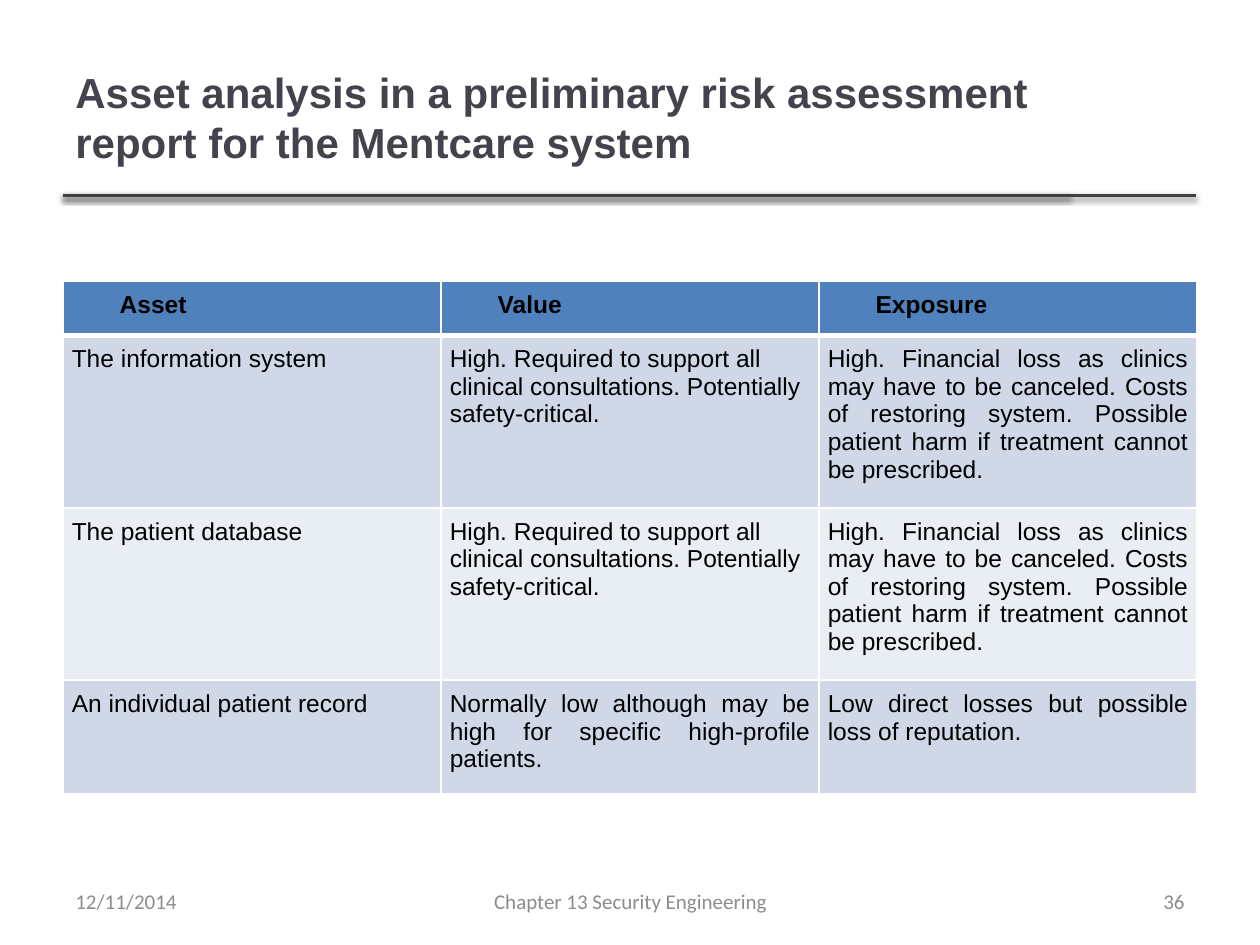
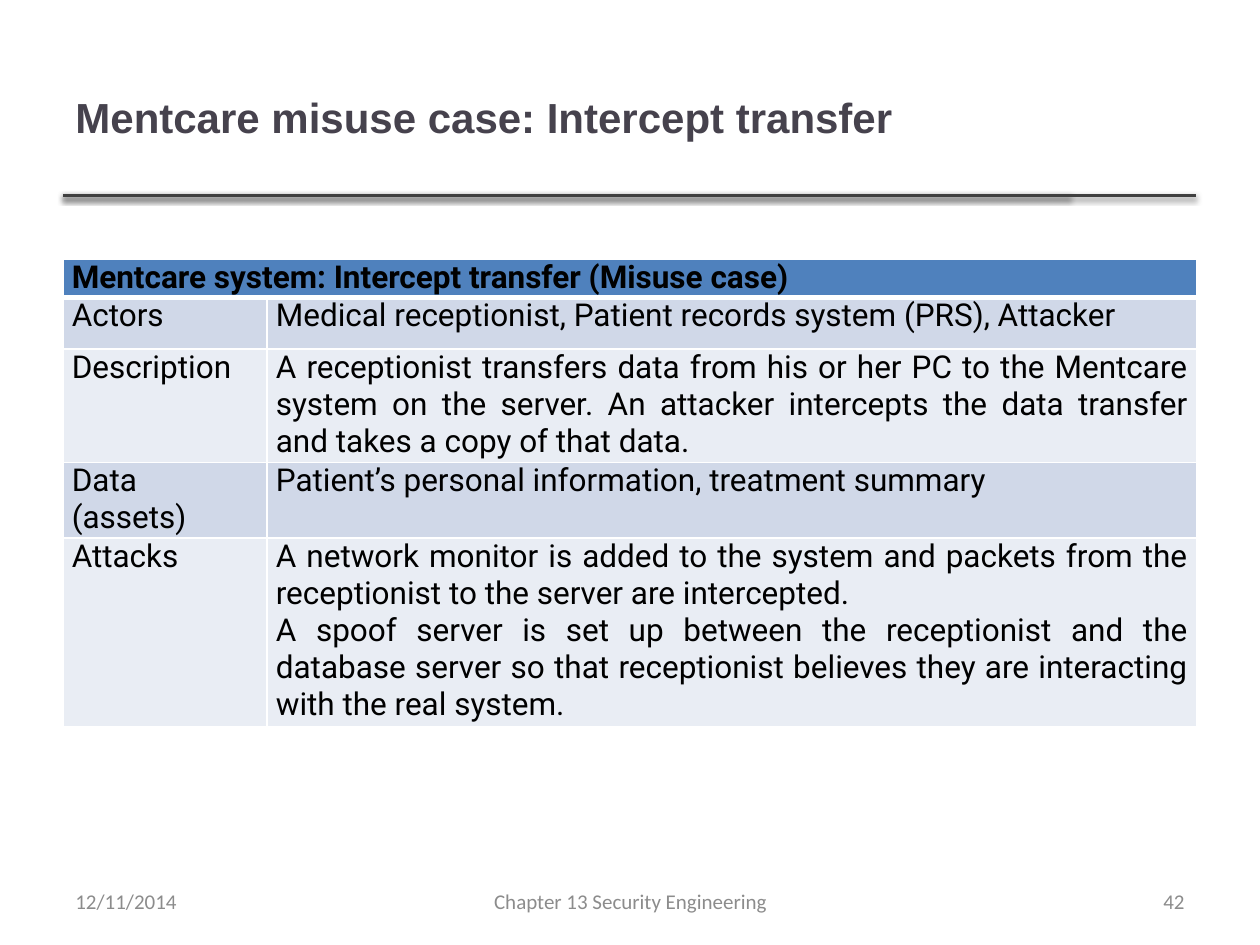
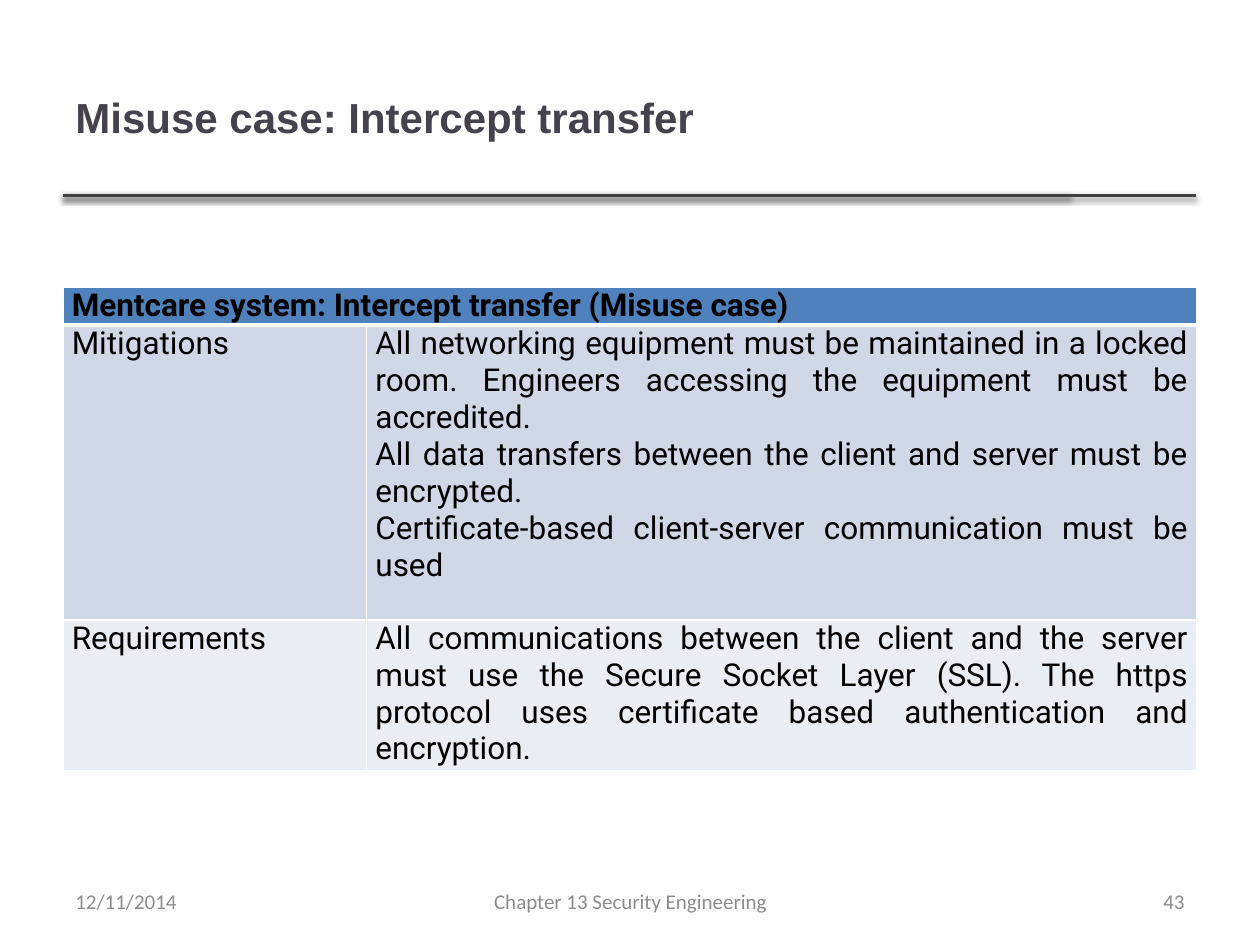
from dataclasses import dataclass

from lxml import etree
from pptx import Presentation
from pptx import util as u
from pptx.dml.color import RGBColor
from pptx.enum import shapes, text
from pptx.oxml import parse_xml
from pptx.oxml.ns import nsdecls, qn

WHITE, BLACK = "FFFFFF", "000000"
TITLE_COLOR, RULE_COLOR, FOOTER_COLOR = "46424D", "404040", "8C8C8C"
HEADER_FILL = "4F81BD"
BAND_FILLS = ("D0D8E8", "E9EDF4")
MARGIN = 0.5
RULE_TOP = 1.55
RULE_ENDS = (8.49, 9.49)
LEFT, CENTER, RIGHT, JUSTIFY = (
    text.PP_ALIGN.LEFT, text.PP_ALIGN.CENTER, text.PP_ALIGN.RIGHT, text.PP_ALIGN.JUSTIFY)


@dataclass(frozen=True)
class Font:
    name: str
    size: int
    color: str = BLACK
    bold: bool = False


@dataclass(frozen=True)
class Box:
    left: float
    top: float
    width: float
    height: float
    align: text.PP_ALIGN = LEFT


@dataclass(frozen=True)
class Grid:
    """Table content; a one-cell first row spans the full width."""
    top: float
    cols: tuple[float, ...]
    row_heights: tuple[float, ...]
    rows: tuple[tuple[str, ...], ...]
    font: str = "Roboto"
    size: int = 18
    inset_top: float = 0
    inset_bottom: float = 0
    header_indent: float = 0
    left_aligned: tuple[tuple[int, int], ...] = ()


@dataclass(frozen=True)
class Page:
    title: str
    number: int
    grid: Grid


TITLE_FONT = Font("Arial", 24, TITLE_COLOR, True)
FOOTER_FONT = Font("Calibri", 12, FOOTER_COLOR)
TITLE_BOX = Box(MARGIN, 0.3, 7.98, 1.25)
DATE_BOX = Box(MARGIN, 6.95, 2.33, 0.4)
CHAPTER_BOX = Box(3.42, 6.95, 3.17, 0.4, CENTER)
NUMBER_BOX = Box(7.17, 6.95, 2.33, 0.4, RIGHT)

CLINICAL_VALUE = ("High. Required to support all clinical consultations. "
                  "Potentially safety-critical.")
CLINICAL_EXPOSURE = ("High. Financial loss as clinics may have to be canceled. "
                     "Costs of restoring system. Possible patient harm if "
                     "treatment cannot be prescribed.")
MISUSE_HEADER = ("Mentcare system: Intercept transfer (Misuse case)",)

PAGES = (
    Page(
        "Asset analysis in a preliminary risk assessment report for the Mentcare system", 36,
        Grid(
            2.23, (3, 3, 3), (0.41, 1.29, 1.29, 0.85),
            (
                ("Asset", "Value", "Exposure"),
                ("The information system", CLINICAL_VALUE, CLINICAL_EXPOSURE),
                ("The patient database", CLINICAL_VALUE, CLINICAL_EXPOSURE),
                ("An individual patient record",
                 "Normally low although may be high for specific high-profile patients.",
                 "Low direct losses but possible loss of reputation."),
            ),
            font="Arial", size=14, inset_top=0.08, inset_bottom=0.12,
            header_indent=0.38, left_aligned=((1, 1), (2, 1)),
        ),
    ),
    Page(
        "Mentcare misuse case: Intercept transfer", 42,
        Grid(
            2.06, (1.62, 7.38), (0.29, 0.41, 0.88, 0.59, 1.46),
            (
                MISUSE_HEADER,
                ("Actors", "Medical receptionist, Patient records system (PRS), Attacker"),
                ("Description",
                 "A receptionist transfers data from his or her PC to the Mentcare system "
                 "on the server. An attacker intercepts the data transfer and takes a copy "
                 "of that data."),
                ("Data (assets)", "Patient’s personal information, treatment summary"),
                ("Attacks",
                 "A network monitor is added to the system and packets from the "
                 "receptionist to the server are intercepted.\n"
                 "A spoof server is set up between the receptionist and the database "
                 "server so that receptionist believes they are interacting with the "
                 "real system."),
            ),
        ),
    ),
    Page(
        "Misuse case: Intercept transfer", 43,
        Grid(
            2.28, (2.41, 6.59), (0.29, 2.34, 1.17),
            (
                MISUSE_HEADER,
                ("Mitigations",
                 "All networking equipment must be maintained in a locked room. Engineers "
                 "accessing the equipment must be accredited.\n"
                 "All data transfers between the client and server must be encrypted.\n"
                 "Certificate-based client-server communication must be used"),
                ("Requirements",
                 "All communications between the client and the server must use the "
                 "Secure Socket Layer (SSL). The https protocol uses certificate based "
                 "authentication and encryption."),
            ),
        ),
    ),
)


def rgb(color: str) -> RGBColor:
    return RGBColor.from_string(color)


def write(tf, content: str, font: Font, align, indent: float = 0) -> None:
    """Fill a text frame, one paragraph per line of content."""
    for i, line in enumerate(content.split("\n")):
        p = tf.add_paragraph() if i else tf.paragraphs[0]
        p.alignment = align
        if indent:
            p._p.get_or_add_pPr().set("indent", str(u.Inches(indent)))
        r = p.add_run()
        r.text = line
        r.font.name, r.font.size, r.font.bold = font.name, u.Pt(font.size), font.bold
        r.font.color.rgb = rgb(font.color)


def add_text(s, box: Box, content: str, font: Font) -> None:
    sp = s.shapes.add_textbox(
        *(u.Inches(v) for v in (box.left, box.top, box.width, box.height)))
    tf = sp.text_frame
    tf.word_wrap = True
    tf.vertical_anchor = text.MSO_ANCHOR.MIDDLE
    write(tf, content, font, box.align)


def add_rule(s, end: float) -> None:
    """Draw a title rule with a soft shadow below it."""
    y = u.Inches(RULE_TOP)
    line = s.shapes.add_connector(
        shapes.MSO_CONNECTOR.STRAIGHT, u.Inches(MARGIN), y, u.Inches(end), y)
    line.line.color.rgb = rgb(RULE_COLOR)
    line.line.width = u.Pt(2)
    line._element.spPr.append(parse_xml(
        f'<a:effectLst {nsdecls("a")}><a:outerShdw blurRad="{u.Pt(3.1)}" '
        f'dist="{u.Pt(1.6)}" dir="5400000" rotWithShape="0"><a:srgbClr val="{BLACK}">'
        '<a:alpha val="38000"/></a:srgbClr></a:outerShdw></a:effectLst>'))


def add_borders(cell, top: int, bottom: int) -> None:
    """Give a cell white borders; call before setting its fill."""
    tcPr = cell._tc.get_or_add_tcPr()
    for side, width in (("L", 1), ("R", 1), ("T", top), ("B", bottom)):
        ln = etree.SubElement(tcPr, qn(f"a:ln{side}"), w=str(u.Pt(width)))
        fill = etree.SubElement(ln, qn("a:solidFill"))
        etree.SubElement(fill, qn("a:srgbClr"), val=WHITE)


def add_grid(s, grid: Grid) -> None:
    table = s.shapes.add_table(
        len(grid.rows), len(grid.cols), u.Inches(MARGIN), u.Inches(grid.top),
        u.Inches(sum(grid.cols)), u.Inches(sum(grid.row_heights))).table
    for column, width in zip(table.columns, grid.cols):
        column.width = u.Inches(width)
    for i, (row, height, texts) in enumerate(zip(table.rows, grid.row_heights, grid.rows)):
        row.height = u.Inches(height)
        header = i == 0
        for cell in row.cells:
            add_borders(cell, 3 if i == 1 else 1, 3 if header else 1)
            cell.fill.solid()
            cell.fill.fore_color.rgb = rgb(HEADER_FILL if header else BAND_FILLS[(i - 1) % 2])
            cell.margin_left = cell.margin_right = u.Inches(0.07)
            cell.margin_top = u.Inches(grid.inset_top)
            cell.margin_bottom = u.Inches(grid.inset_bottom)
        if len(texts) == 1:
            table.cell(i, 0).merge(table.cell(i, len(grid.cols) - 1))
        font = Font(grid.font, grid.size, bold=header)
        for j, content in enumerate(texts):
            align = LEFT if (i, j) in grid.left_aligned else JUSTIFY
            write(table.cell(i, j).text_frame, content, font, align,
                  grid.header_indent if header else 0)


def add_page(prs, page: Page) -> None:
    s = prs.slides.add_slide(prs.slide_layouts[6])
    for end in RULE_ENDS:
        add_rule(s, end)
    add_text(s, TITLE_BOX, page.title, TITLE_FONT)
    add_grid(s, page.grid)
    for box, content in ((DATE_BOX, "12/11/2014"),
                         (CHAPTER_BOX, "Chapter 13 Security Engineering"),
                         (NUMBER_BOX, str(page.number))):
        add_text(s, box, content, FOOTER_FONT)


def main() -> None:
    prs = Presentation()
    prs.slide_width, prs.slide_height = u.Inches(10), u.Inches(7.5)
    for page in PAGES:
        add_page(prs, page)
    prs.save("out.pptx")


if __name__ == "__main__":
    main()
